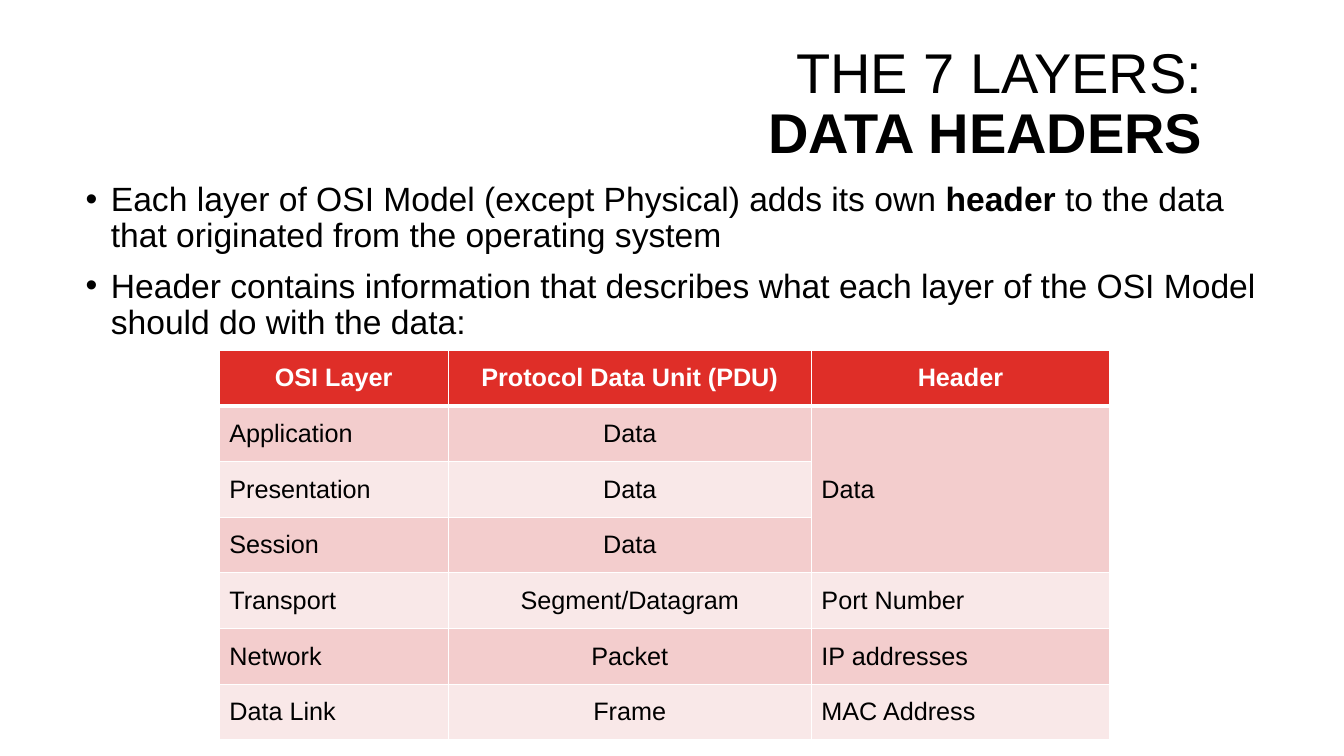
from lxml import etree
from pptx import Presentation
from pptx import util as u
from pptx.dml.color import RGBColor
from pptx.enum import text
from pptx.oxml import ns

Pt = u.Pt
BLACK, WHITE, RED = "000000", "FFFFFF", "DF2E28"
BANDS = ("F3CDCD", "F9E8E8")
HEADINGS = ("OSI Layer", "Protocol Data Unit (PDU)", "Header")
LAYERS = (
    ("Application", "Data", "Data"),
    ("Presentation", "Data", ""),
    ("Session", "Data", ""),
    ("Transport", "Segment/Datagram", "Port Number"),
    ("Network", "Packet", "IP addresses"),
    ("Data Link", "Frame", "MAC Address"),
)
POINTS = (
    (("Each layer of OSI Model (except Physical) adds its own ", False),
     ("header", True),
     (" to the data that originated from the operating system", False)),
    (("Header contains information that describes what each layer of "
      "the OSI Model should do with the data:", False),),
)


def paint(target, colour):
    """Give a fill or font its solid colour."""
    if hasattr(target, "solid"):
        target.solid()
        target.fore_color.rgb = RGBColor.from_string(colour)
    else:
        target.color.rgb = RGBColor.from_string(colour)


def style(paragraph, size, colour=BLACK, bold=None):
    """Set the font shared by all runs of a paragraph."""
    font = paragraph.font
    font.name, font.size, font.bold = "Arial", Pt(size), bold
    paint(font, colour)


def place(holder, left, top, width, height, anchor):
    """Move a placeholder and fix how its text sits in it."""
    holder.left, holder.top = Pt(left), Pt(top)
    holder.width, holder.height = Pt(width), Pt(height)
    frame = holder.text_frame
    frame.word_wrap = True
    frame.auto_size = text.MSO_AUTO_SIZE.NONE
    frame.vertical_anchor = anchor
    return frame


def add_run(paragraph, words, bold):
    """Append words to a paragraph, bold or regular."""
    run = paragraph.add_run()
    run.text = words
    run.font.bold = bold


def fill_title(holder):
    """Write the two-line title on the right."""
    frame = place(holder, 522, 24.5, 344, 101.5, text.MSO_ANCHOR.MIDDLE)
    heading = frame.paragraphs[0]
    heading.alignment = text.PP_ALIGN.RIGHT
    heading.line_spacing = 0.9
    style(heading, 40)
    add_run(heading, "THE 7 LAYERS:", False)
    heading.add_line_break()
    add_run(heading, "DATA HEADERS", True)


def fill_points(holder):
    """Write the bulleted points."""
    frame = place(holder, 54, 126.7, 852, 317, text.MSO_ANCHOR.TOP)
    for index, parts in enumerate(POINTS):
        point = frame.add_paragraph() if index else frame.paragraphs[0]
        point.line_spacing = 0.9
        point.space_before = Pt(10)
        style(point, 24)
        properties = point._p.get_or_add_pPr()
        properties.set("marL", str(Pt(18)))
        properties.set("indent", str(Pt(-18)))
        for words, bold in parts:
            add_run(point, words, bold)


def set_borders(cell, top, bottom):
    """Draw white cell borders, with the given top and bottom widths."""
    properties = cell._tc.get_or_add_tcPr()
    for side, width in zip("LRTB", (1, 1, top, bottom)):
        line = etree.SubElement(properties, ns.qn(f"a:ln{side}"), w=str(Pt(width)))
        solid = etree.SubElement(line, ns.qn("a:solidFill"))
        etree.SubElement(solid, ns.qn("a:srgbClr"), val=WHITE)


def fill_cell(cell, words, row, column):
    """Write and format one table cell."""
    is_heading = row == 0
    set_borders(cell, 3 if row == 1 else 1, 3 if is_heading else 1)
    paint(cell.fill, RED if is_heading else BANDS[(row - 1) % 2])
    cell.vertical_anchor = text.MSO_ANCHOR.MIDDLE
    entry = cell.text_frame.paragraphs[0]
    if words:
        add_run(entry, words, is_heading)
    centred = is_heading or column == 1
    entry.alignment = text.PP_ALIGN.CENTER if centred else text.PP_ALIGN.LEFT
    style(entry, 18, WHITE if is_heading else BLACK, is_heading)


def add_layer_table(slide):
    """Add the table of layers, data units and headers."""
    rows = (HEADINGS,) + LAYERS
    table = slide.shapes.add_table(
        len(rows), len(HEADINGS), Pt(156.6), Pt(250), Pt(636), Pt(278.6)).table
    for column, width in zip(table.columns, (163.5, 259.5, 213)):
        column.width = Pt(width)
    for row, entries in enumerate(rows):
        table.rows[row].height = Pt(39.8)
        for column, words in enumerate(entries):
            fill_cell(table.cell(row, column), words, row, column)
    table.cell(1, 2).merge(table.cell(3, 2))


def main():
    """Build and save the slide."""
    deck = Presentation()
    deck.slide_width, deck.slide_height = Pt(960), Pt(540)
    slide = deck.slides.add_slide(deck.slide_layouts[1])
    fill_title(slide.shapes.title)
    fill_points(slide.placeholders[1])
    add_layer_table(slide)
    deck.save("out.pptx")


if __name__ == "__main__":
    main()
